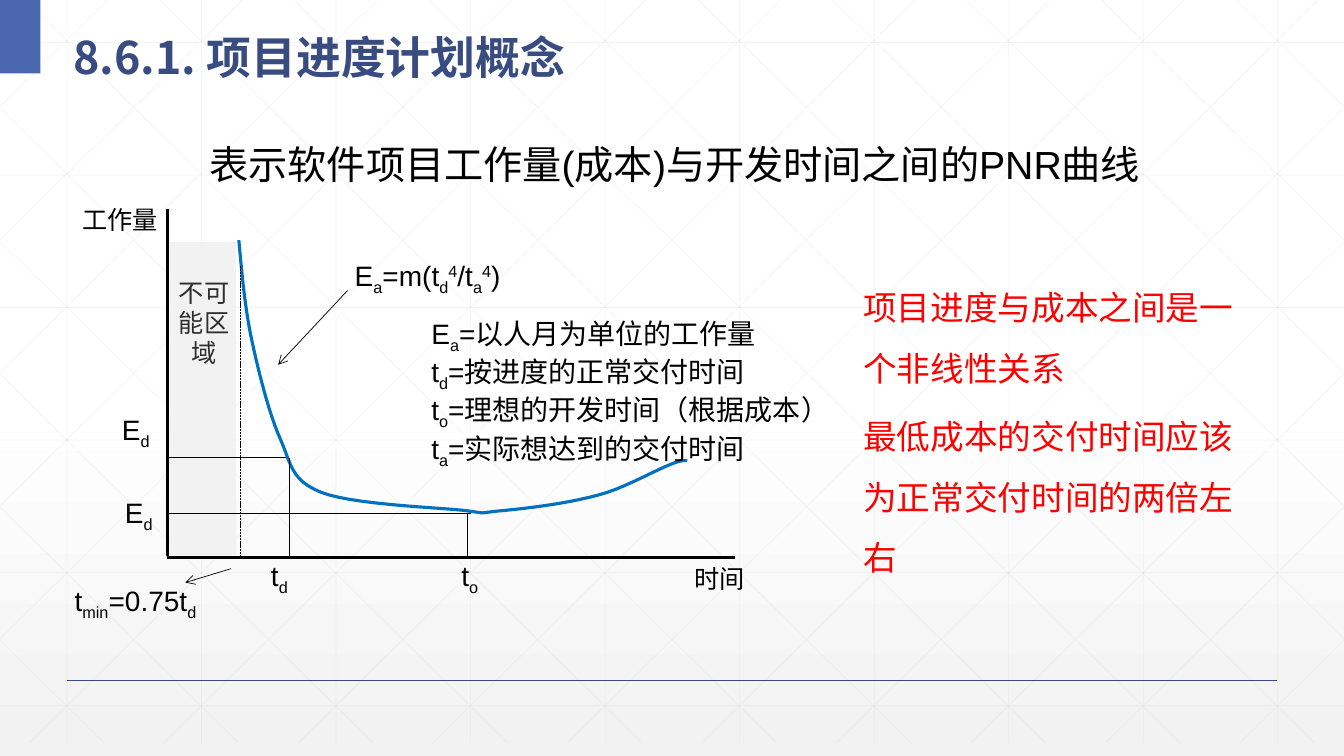
from lxml import etree
from pptx import Presentation
from pptx.dml.color import RGBColor
from pptx.enum.dml import MSO_LINE
from pptx.enum.shapes import MSO_CONNECTOR, MSO_SHAPE
from pptx.enum.text import MSO_ANCHOR, PP_ALIGN
from pptx.oxml.ns import qn
from pptx.util import Cm, Pt

STRAIGHT = MSO_CONNECTOR.STRAIGHT
RECTANGLE = MSO_SHAPE.RECTANGLE
SYS_DASH = MSO_LINE.SQUARE_DOT
CENTER, LEFT = PP_ALIGN.CENTER, PP_ALIGN.LEFT
TOP, MIDDLE = MSO_ANCHOR.TOP, MSO_ANCHOR.MIDDLE
BODY_FONT, CJK_FONT = "Arial", "Noto Sans CJK SC"
NAVY, BLUE, CURVE_BLUE = "384C81", "4A66AC", "0070C0"
BLACK, RED, DARK, PALE, GRID = "000000", "FF0000", "2D2E2D", "F2F2F2", "D9D9D9"

# Content: lengths in cm; "|" splits runs, "_" lowers and "^" raises a run
WIDTH, HEIGHT = 33.87, 19.05
TITLE = "8.6.1. 项目进度计划概念"
CAPTION = "表示软件项目工作量(成本)与开发时间之间的PNR曲线"
NOTES = ["项目进度与成本之间是一个非线性关系", "最低成本的交付时间应该为正常交付时间的两倍左右"]
FORMULA = "E|_a|=m(t|_d|^4|/t|_a|^4|)"
LEGEND = [
    "E|_a|=以人月为单位的工作量",
    "t|_d|=按进度的正常交付时间",
    "t|_o|=理想的开发时间（根据成本）",
    "t|_a|=实际想达到的交付时间",
]
# text lines, box, size, wrap
CHART_LABELS = [
    (["E|_d"], (2.82, 10.26, 1.24, 1.12), 20, False),
    (["E|_d"], (2.9, 12.37, 1.24, 1.12), 20, False),
    (["t|_min|=0.75t|_d"], (1.63, 14.58, 4.24, 1.12), 20, True),
    (["t|_d"], (6.58, 13.94, 0.97, 1.12), 20, False),
    (["t|_o"], (11.38, 13.94, 0.97, 1.12), 20, False),
    ([FORMULA], (8.69, 6.38, 4.5, 1.12), 20, True),
    (LEGEND, (10.62, 7.85, 10.85, 4.24), 20, True),
    (["时间"], (17.25, 14.07, 1.8, 1.02), 18, False),
    (["工作量"], (1.83, 5.03, 2.44, 1.02), 18, False),
]
AXES = [(4.22, 14.05, 18.52, 14.05), (4.22, 14, 4.22, 5.26)]
GUIDES = [
    (4.22, 11.53, 7.21, 11.53),
    (4.27, 12.93, 11.86, 12.93),
    (7.29, 11.53, 7.29, 14.05),
    (11.79, 12.93, 11.79, 14.02),
]
MINIMUM_TIME = (6.05, 6.71, 6.05, 14.05)
ARROWS = [(5.82, 14.33, 4.67, 14.68), (8.76, 7.32, 7.01, 9.19)]
CURVE_START = (6.02, 6.05)
CURVE = [  # two control points and an end point for each segment
    ((6.1, 6.91), (6.17, 7.75), (6.35, 8.59)),
    ((6.53, 9.42), (6.78, 10.41), (7.06, 11.05)),
    ((7.34, 11.68), (7.32, 12.09), (8.08, 12.4)),
    ((8.81, 12.7), (10.85, 12.78), (11.58, 12.85)),
    ((12.34, 12.93), (11.94, 12.95), (12.52, 12.88)),
    ((13.11, 12.83), (14.27, 12.7), (15.09, 12.47)),
    ((15.9, 12.27), (17.04, 11.51), (17.32, 11.61)),
]
CURVE_STEPS = 12

# Background grid
GRID_HEIGHT, COLUMN_GAP, ROW_GAP = 18.72, 3.39, 3.34
FIRST_COLUMN, FIRST_ROW = 1.69, 1.07
FIRST_DIAGONAL, DIAGONAL_RUN = 0.64, 18.93


def rgb(color):
    return RGBColor.from_string(color)


def add_line(slide, ends, color=BLACK, width=0.5, opacity=None, arrow=False):
    line = slide.shapes.add_connector(STRAIGHT, *[Cm(value) for value in ends])
    line.line.color.rgb = rgb(color)
    line.line.width = Pt(width)
    properties = line._element.spPr
    if opacity:
        etree.SubElement(properties.find(".//" + qn("a:srgbClr")), qn("a:alpha"), val=str(opacity * 1000))
    if arrow:
        etree.SubElement(properties.find(qn("a:ln")), qn("a:tailEnd"), type="arrow")
    etree.SubElement(properties, qn("a:effectLst"))
    return line


def add_block(slide, box, color):
    block = slide.shapes.add_shape(RECTANGLE, *[Cm(value) for value in box])
    block.shadow.inherit = False
    block.fill.solid()
    block.fill.fore_color.rgb = rgb(color)
    block.line.fill.background()


def add_text(slide, lines, box, size, color=BLACK, wrap=True, font=BODY_FONT, bold=False,
             align=LEFT, anchor=TOP, spacing=1.0, gap=0):
    frame = slide.shapes.add_textbox(*[Cm(value) for value in box]).text_frame
    frame.word_wrap = wrap
    frame.vertical_anchor = anchor
    for index, line in enumerate(lines):
        paragraph = frame.add_paragraph() if index else frame.paragraphs[0]
        paragraph.alignment = align
        paragraph.line_spacing = spacing
        paragraph.space_before = Pt(gap if index else 0)
        for part in line.split("|"):
            run = paragraph.add_run()
            run.text = part.lstrip("_^")
            run.font.size = Pt(size)
            run.font.bold = bold
            run.font.color.rgb = rgb(color)
            run.font.name = font
            properties = run._r.get_or_add_rPr()
            etree.SubElement(properties, qn("a:ea"), typeface=CJK_FONT)
            if part[0] in "_^":
                properties.set("baseline", "-25000" if part[0] == "_" else "30000")


def grid_lines():
    for column in range(10):
        x = FIRST_COLUMN + column * COLUMN_GAP
        yield x, 0, x, GRID_HEIGHT
    for row in range(6):
        y = FIRST_ROW + row * ROW_GAP
        yield 0, y, WIDTH, y
    slope = GRID_HEIGHT / DIAGONAL_RUN
    for step in range(-5, 10):
        start = FIRST_DIAGONAL + step * COLUMN_GAP
        left, right = max(start, 0), min(start + DIAGONAL_RUN, WIDTH)
        top, bottom = (left - start) * slope, (right - start) * slope
        yield left, top, right, bottom
        yield WIDTH - left, top, WIDTH - right, bottom


def curve_points():
    start = CURVE_START
    for first, second, end in CURVE:
        for step in range(1, CURVE_STEPS + 1):
            t = step / CURVE_STEPS
            weights = ((1 - t) ** 3, 3 * t * (1 - t) ** 2, 3 * t * t * (1 - t), t ** 3)
            points = (start, first, second, end)
            yield tuple(Cm(sum(w * p[axis] for w, p in zip(weights, points))) for axis in (0, 1))
        start = end


def main():
    presentation = Presentation()
    presentation.slide_width, presentation.slide_height = Cm(WIDTH), Cm(HEIGHT)
    slide = presentation.slides.add_slide(presentation.slide_layouts[6])

    # Backdrop
    fill = slide.background.fill
    fill.gradient()
    fill.gradient_angle = 270
    for stop, position, color in zip(fill.gradient_stops, (0.53, 1), ("FFFFFF", PALE)):
        stop.position = position
        stop.color.rgb = rgb(color)
    for ends in grid_lines():
        add_line(slide, ends, GRID, opacity=25)
    add_line(slide, (1.7, 17.15, 32.17, 17.15), NAVY, 1)
    add_block(slide, (0, 0, 1.02, 1.85), BLUE)

    # Title, notes and caption
    add_text(slide, [TITLE], (1.6, 0.3, 30.81, 1.85), 32, NAVY, font=CJK_FONT, bold=True,
             anchor=MIDDLE, spacing=1.3)
    add_text(slide, NOTES, (21.51, 6.6, 10.52, 8.15), 24, RED, spacing=1.5, gap=6)
    add_text(slide, [CAPTION], (5.03, 3.4, 24.23, 1.45), 28)

    # Axes and curve
    for ends in AXES:
        add_line(slide, ends, width=2.25)
    builder = slide.shapes.build_freeform(*[Cm(value) for value in CURVE_START])
    builder.add_line_segments(list(curve_points()), close=False)
    curve = builder.convert_to_shape()
    curve.shadow.inherit = False
    curve.fill.background()
    curve.line.color.rgb = rgb(CURVE_BLUE)
    curve.line.width = Pt(2.25)

    # Impossible region, guides and labels
    add_block(slide, (4.27, 6.1, 1.68, 7.9), PALE)
    add_line(slide, MINIMUM_TIME).line.dash_style = SYS_DASH
    add_text(slide, ["不可能区域"], (4.04, 6.86, 2.21, 2.57), 18, DARK, align=CENTER)
    for ends in GUIDES:
        add_line(slide, ends)
    for ends in ARROWS:
        add_line(slide, ends, arrow=True)
    for lines, box, size, wrap in CHART_LABELS:
        add_text(slide, lines, box, size, wrap=wrap)

    presentation.save("out.pptx")


if __name__ == "__main__":
    main()
